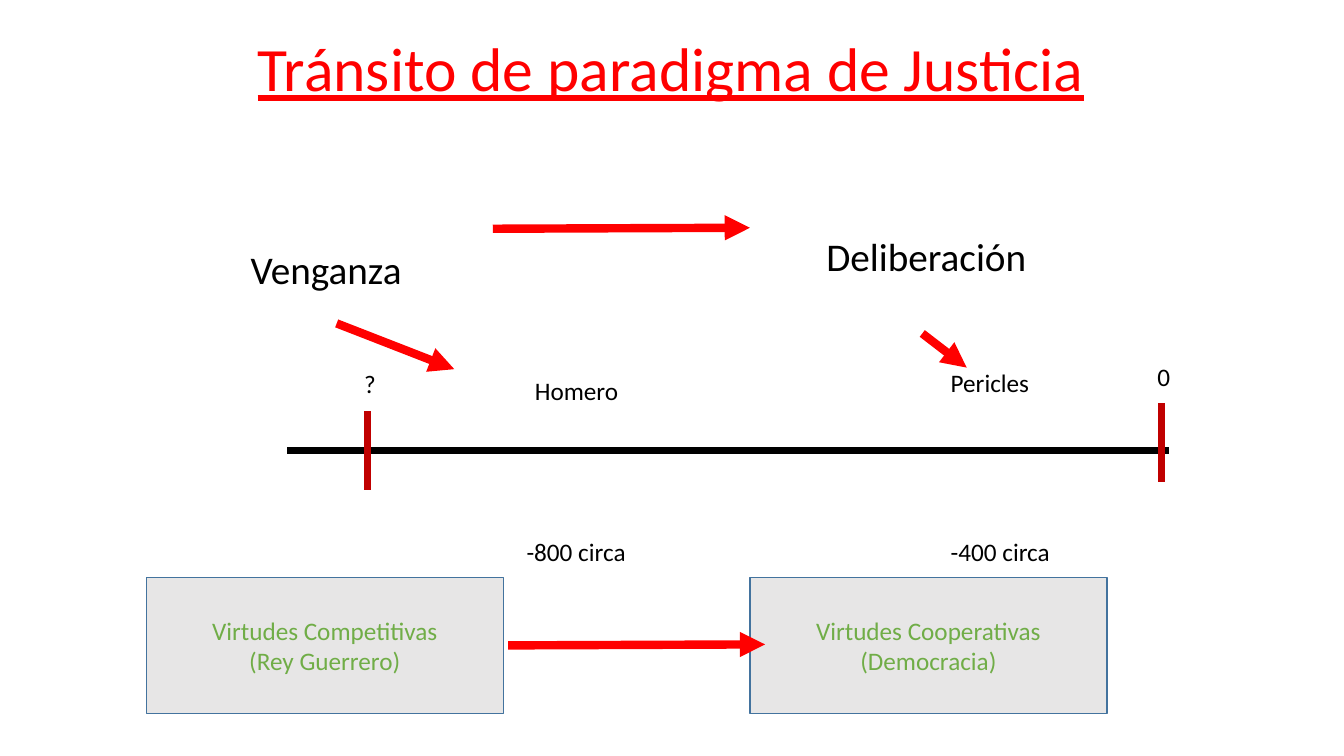
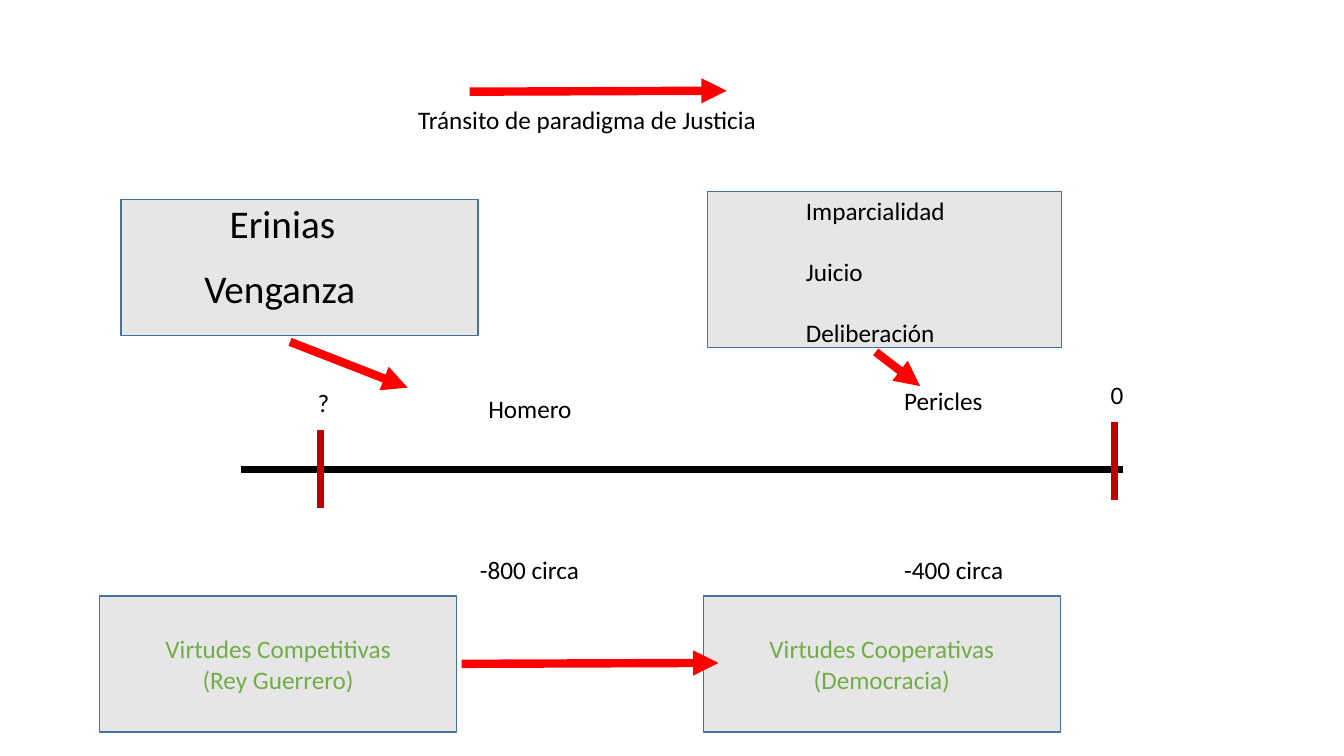
from lxml import etree
from pptx import Presentation
from pptx.dml.color import RGBColor
from pptx.enum.shapes import MSO_CONNECTOR as CONN, MSO_SHAPE as SHAPE
from pptx.enum.text import MSO_ANCHOR as ANCHOR, PP_ALIGN as ALIGN
from pptx.oxml.ns import qn
from pptx.util import Pt

FONT = "Calibri"
BLACK, RED, DARK_RED, GREEN = "000000", "FF0000", "C00000", "70AD47"
GRAY, BLUE = "E7E6E6", "43739E"
rgb = RGBColor.from_string


def add_text(s, lines, x, y, w, h, size=18, color=BLACK, align=ALIGN.LEFT,
             gap=0, spacing=None, underline=None, framed=False):
    """Place lines of text, in a gray frame or in a plain text box."""
    box = (Pt(x), Pt(y), Pt(w), Pt(h))
    if framed:
        sp = s.shapes.add_shape(SHAPE.RECTANGLE, *box)
        sp.shadow.inherit = False
        sp.fill.solid()
        sp.fill.fore_color.rgb = rgb(GRAY)
        sp.line.color.rgb = rgb(BLUE)
        sp.line.width = Pt(1)
    else:
        sp = s.shapes.add_textbox(*box)
    tf = sp.text_frame
    tf.word_wrap = True
    tf.vertical_anchor = ANCHOR.MIDDLE if framed else ANCHOR.TOP
    tf.text = "\n".join(lines)
    for i, p in enumerate(tf.paragraphs):
        p.alignment = align
        p.line_spacing = spacing
        if i and gap:
            p.space_before = Pt(gap)
        for r in p.runs:
            r.font.name, r.font.size = FONT, Pt(size)
            r.font.color.rgb = rgb(color)
            r.font.underline = underline


def add_line(s, x1, y1, x2, y2, color=RED, width=6, arrow=True):
    """Draw a straight line, by default a thick red arrow."""
    cn = s.shapes.add_connector(CONN.STRAIGHT, Pt(x1), Pt(y1), Pt(x2), Pt(y2))
    cn.line.color.rgb = rgb(color)
    cn.line.width = Pt(width)
    if arrow:
        etree.SubElement(cn.line._get_or_add_ln(), qn("a:tailEnd"), type="triangle")
    etree.SubElement(cn._element.spPr, qn("a:effectLst"))


prs = Presentation()
prs.slide_width, prs.slide_height = Pt(960), Pt(540)
blank = prs.slide_layouts[6]
first, second = (prs.slides.add_slide(blank) for _ in range(2))

# Timeline and virtues, moved left and down on the second slide
for s, dx, dy in ((first, 0, 0), (second, -33.3, 13.2)):
    add_line(s, 205.2 + dx, 322 + dy, 835.2 + dx, 322 + dy, BLACK, 5, False)

    # End marks
    for mark, x, y, label_x, label_w in (("0", 829.5, 288, 813, 36.5),
                                         ("?", 262.5, 293.6, 211, 106.5)):
        add_line(s, x + dx, y + dy, x + dx, y + 56.2 + dy, DARK_RED, 5, False)
        add_text(s, [mark], label_x + dx, y - 33.8 + dy, label_w, 29, align=ALIGN.CENTER)

    # Names and dates
    for label, x, y in (("-800 circa", 369, 379.3), ("-400 circa", 672, 379.3),
                        ("Homero", 375, 264.3), ("Pericles", 672, 258.5)):
        add_text(s, [label], x + dx, y + dy, 97.2, 29)

    # Arrows down to the names
    add_line(s, 240.5 + dx, 231 + dy, 324.5 + dx, 263.7 + dy)
    add_line(s, 658.8 + dx, 238.2 + dy, 690.5 + dx, 262.6 + dy)

    # Virtues
    for lines, x in ((["Virtudes Competitivas", "(Rey Guerrero)"], 104.5),
                     (["Virtudes Cooperativas", "(Democracia)"], 535.7)):
        add_text(s, lines, x + dx, 412.4 + dy, 255, 97.2, color=GREEN,
                 align=ALIGN.CENTER, framed=True)
    add_line(s, 363 + dx, 461 + dy, 546.5 + dx, 460.3 + dy)

# Slide 1: title and the two paradigms
s = first
add_text(s, ["Tránsito de paradigma de Justicia"], 177, 18, 630, 60.5,
         size=44, color=RED, underline=True)
add_line(s, 352, 163.4, 535.7, 162.7)
add_text(s, ["Venganza"], 172, 175.7, 199.4, 41, size=28, spacing=0.9)
add_text(s, ["Deliberación"], 583.2, 162.3, 213.8, 41, size=28)

# Slide 2: the two paradigms in frames
s = second
add_line(s, 335.5, 65.5, 519, 64.8)
add_text(s, ["Tránsito de paradigma de Justicia"], 291.6, 71.3, 429, 29)
add_text(s, [], 505.4, 136.8, 252.7, 111.6, framed=True)
add_text(s, [], 86.4, 142.6, 255, 97.2, framed=True)
for label, x, y in (("Erinias", 157, 142.6), ("Venganza", 138.8, 189.4)):
    add_text(s, [label], x, y, 154, 41, size=28, spacing=0.9)
add_text(s, ["Imparcialidad", "Juicio", "Deliberación"], 568.6, 136, 125, 138, gap=22)

prs.save("out.pptx")
